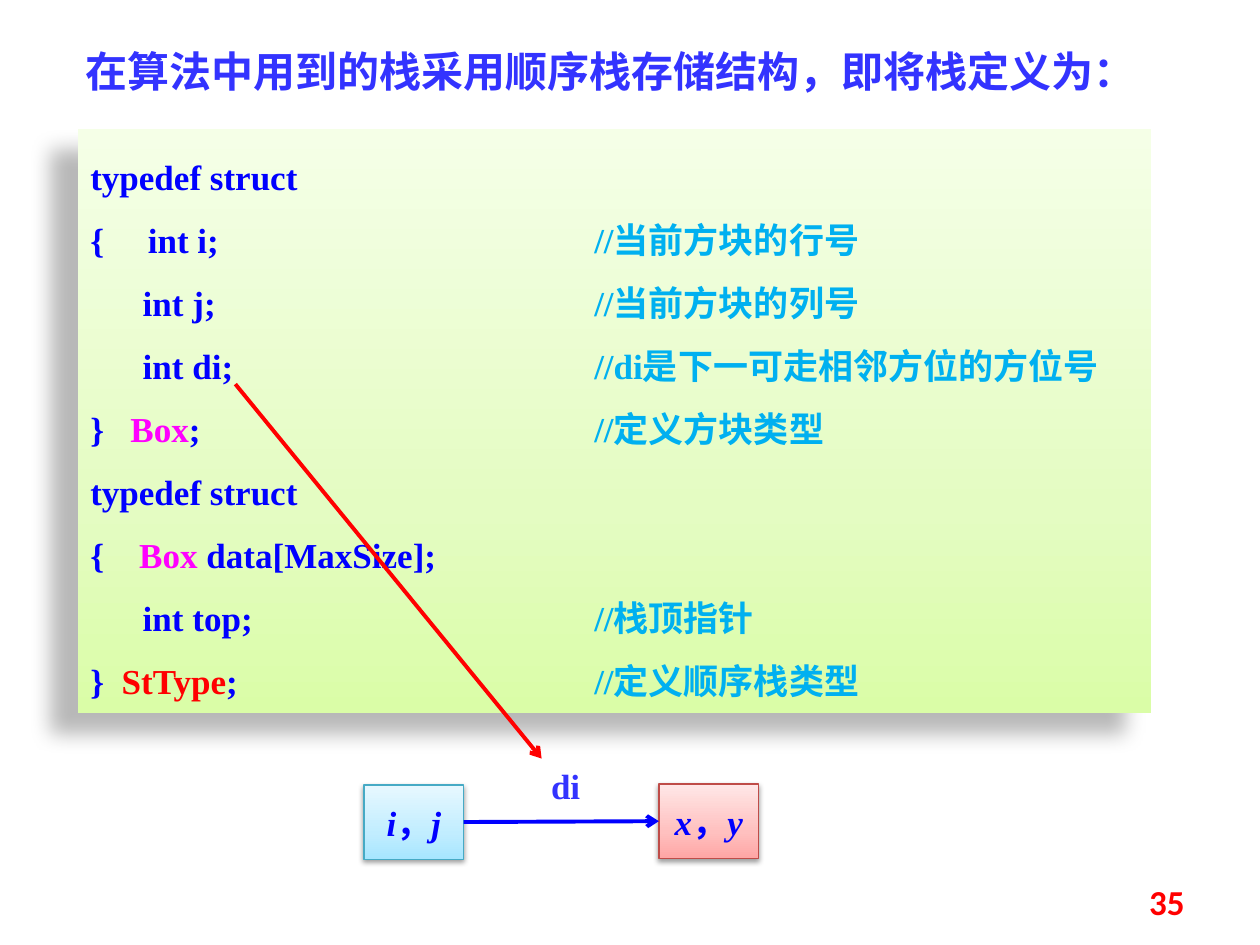
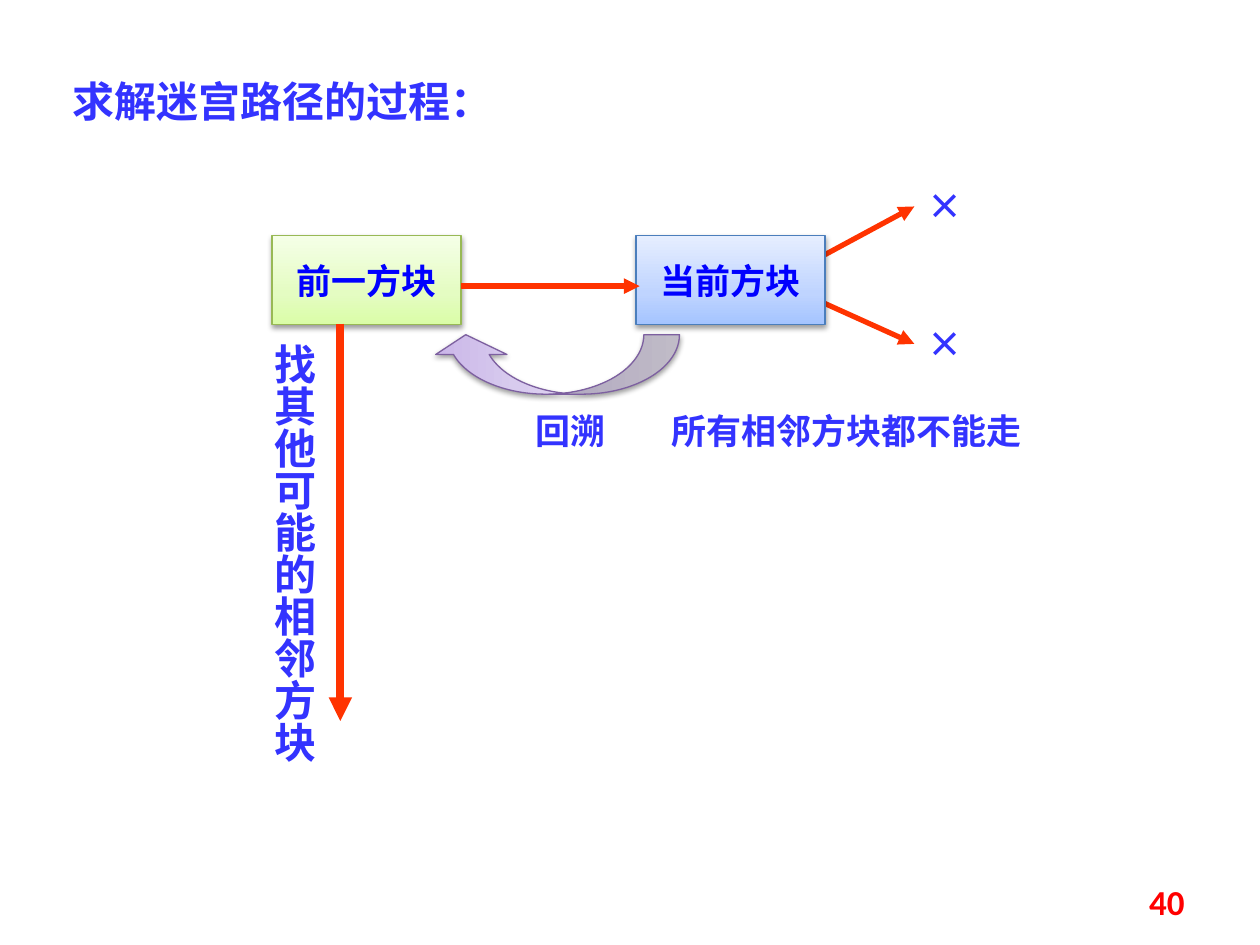
from lxml import etree
from pptx import Presentation
from pptx.dml.color import RGBColor
from pptx.enum.shapes import MSO_CONNECTOR, MSO_SHAPE
from pptx.enum.text import MSO_ANCHOR, MSO_AUTO_SIZE, PP_ALIGN
from pptx.oxml.ns import qn
from pptx.util import Pt

STRAIGHT = MSO_CONNECTOR.STRAIGHT
RECTANGLE = MSO_SHAPE.RECTANGLE
CURVED_ARROW = MSO_SHAPE.CURVED_LEFT_ARROW
TOP, MIDDLE = MSO_ANCHOR.TOP, MSO_ANCHOR.MIDDLE
LEFT, CENTER, RIGHT = PP_ALIGN.LEFT, PP_ALIGN.CENTER, PP_ALIGN.RIGHT
FIT_SHAPE, NO_FIT = MSO_AUTO_SIZE.SHAPE_TO_FIT_TEXT, MSO_AUTO_SIZE.NONE

SANS, SERIF, NUMBER_FONT = "Noto Sans CJK SC", "Times New Roman", "Calibri"
TITLE_BLUE, TEXT_BLUE, COMMENT = "3333FF", "0000FF", "00B0F0"
RED, ORANGE, MAGENTA = "FF0000", "FF3300", "FF00FF"

# Gradient stops from bottom to top, then the outline
GREEN = ("DAFDA7", "E4FCC2", "F5FFE7", "98B955")
CYAN = ("A7E6FF", "C1EDFF", "E7F8FF", "46AAC5")
PINK = ("FFA6A5", "FFC0BF", "FFE7E7", "BF4C48")
BLUE = ("A4C4FF", "BFD4FF", "E6EEFF", "4B7EBC")
PURPLE = ("C9B5E8", "D8CBEE", "F0EAF9", "7D60A0")
STOPS = (0, 35, 100)

# Opacity in percent, blur and distance in points, direction in degrees
SOFT_SHADOW = (38, 3.1, 1.6, 90)
DEEP_SHADOW = (28, 11.8, 19.7, 141)

CODE = [
    [("typedef struct", TEXT_BLUE)],
    [("{     int i;\t", TEXT_BLUE), ("//当前方块的行号", COMMENT)],
    [("      int j;\t", TEXT_BLUE), ("//当前方块的列号", COMMENT)],
    [("      int di;\t", TEXT_BLUE), ("//di是下一可走相邻方位的方位号", COMMENT)],
    [("}   ", TEXT_BLUE), ("Box", MAGENTA), (";\t", TEXT_BLUE), ("//定义方块类型", COMMENT)],
    [("typedef struct", TEXT_BLUE)],
    [("{    ", TEXT_BLUE), ("Box", MAGENTA), (" data[MaxSize];", TEXT_BLUE)],
    [("      int top;\t", TEXT_BLUE), ("//栈顶指针", COMMENT)],
    [("}  ", TEXT_BLUE), ("StType", RED), (";\t", TEXT_BLUE), ("//定义顺序栈类型", COMMENT)],
]


def rgb(value):
    return RGBColor.from_string(value)


def add_element(parent, tag, **attributes):
    return etree.SubElement(parent, qn(tag), {key: str(value) for key, value in attributes.items()})


def points(*lengths):
    return [Pt(length) for length in lengths]


def style_run(run, size, font, color, bold=True, italic=False):
    run.font.size, run.font.name = Pt(size), font
    run.font.bold, run.font.italic = bold, italic
    run.font.color.rgb = rgb(color)
    add_element(run.font._element, "a:ea", typeface=SANS)


def write_line(frame, text, size, font, color, align):
    frame.text = text
    para = frame.paragraphs[0]
    para.alignment = align
    style_run(para.runs[0], size, font, color)


def add_label(page, text, box, size=20, font=SANS, color=TITLE_BLUE, align=CENTER, anchor=TOP):
    label = page.shapes.add_textbox(*points(*box))
    frame = label.text_frame
    frame.word_wrap, frame.vertical_anchor = True, anchor
    write_line(frame, text, size, font, color, align)
    return label


def add_panel(page, kind, box, palette, shadow=SOFT_SHADOW, outlined=True):
    """Add a preset shape with a gradient and a cast shadow."""
    panel = page.shapes.add_shape(kind, *points(*box))
    panel.fill.gradient()
    panel.fill.gradient_angle = 90
    stops = panel._element.spPr.find(qn("a:gradFill")).find(qn("a:gsLst"))
    stops.clear()
    for position, color in zip(STOPS, palette):
        stop = add_element(stops, "a:gs", pos=position * 1000)
        add_element(stop, "a:srgbClr", val=color)
    if outlined:
        panel.line.color.rgb, panel.line.width = rgb(palette[3]), Pt(0.75)
    else:
        panel.line.fill.background()
    panel.shadow.inherit = False
    opacity, blur, distance, direction = shadow
    cast = add_element(panel._element.spPr.find(qn("a:effectLst")), "a:outerShdw",
                       blurRad=Pt(blur), dist=Pt(distance), dir=direction * 60000, rotWithShape=0)
    add_element(add_element(cast, "a:srgbClr", val="000000"), "a:alpha", val=opacity * 1000)
    return panel


def add_node(page, box, palette, text):
    node = add_panel(page, RECTANGLE, box, palette)
    frame = node.text_frame
    frame.word_wrap, frame.vertical_anchor = False, MIDDLE
    write_line(frame, text, 20, SANS, TEXT_BLUE, CENTER)
    return node


def add_arrow(page, start, end, color, width, head="triangle"):
    arrow = page.shapes.add_connector(STRAIGHT, *points(*start, *end))
    arrow.line.color.rgb, arrow.line.width = rgb(color), Pt(width)
    add_element(arrow.line._get_or_add_ln(), "a:tailEnd", type=head)
    add_element(arrow._element.spPr, "a:effectLst")
    return arrow


def add_page(deck, title_text, box, align, font, number):
    page = deck.slides.add_slide(deck.slide_layouts[5])
    title = page.shapes.title
    title.left, title.top, title.width, title.height = points(*box)
    frame = title.text_frame
    frame.word_wrap, frame.vertical_anchor, frame.auto_size = True, TOP, NO_FIT
    write_line(frame, title_text, 24, font, TITLE_BLUE, align)
    add_label(page, number, (516, 500.5, 168, 29), font=NUMBER_FONT, color=RED,
              align=RIGHT, anchor=MIDDLE)
    return page


def add_code(page, box):
    panel = add_panel(page, RECTANGLE, box, GREEN, DEEP_SHADOW, outlined=False)
    frame = panel.text_frame
    frame.word_wrap, frame.vertical_anchor = True, TOP
    for index, line in enumerate(CODE):
        para = frame.add_paragraph() if index else frame.paragraphs[0]
        para.alignment, para.line_spacing = LEFT, Pt(36)
        tabs = add_element(para._p.get_or_add_pPr(), "a:tabLst")
        add_element(tabs, "a:tab", pos=Pt(288), algn="l")
        for text, color in line:
            span = para.add_run()
            span.text = text
            style_run(span, 20, SERIF, color)


def add_coordinate_step(page, left, top):
    """Two coordinate cells joined by the direction arrow."""
    cells = []
    for offset, rise, palette, names in ((0, 0.5, CYAN, "i，j"), (168.5, 0, PINK, "x，y")):
        cell = add_node(page, (left + offset, top + rise, 57, 42.5), palette, names)
        para = cell.text_frame.paragraphs[0]
        para.text = ""
        for letter in names:
            span = para.add_run()
            span.text = letter
            style_run(span, 20, SERIF, TEXT_BLUE, italic=letter != "，")
        cells.append(cell)
    arrow = add_arrow(page, (left + 57, top + 21), (left + 168.5, top + 21), TEXT_BLUE, 2.25, "arrow")
    arrow.begin_connect(cells[0], 3)
    arrow.end_connect(cells[1], 1)
    add_label(page, "di", (left + 90, top - 14.5, 50.5, 31.5), font=SERIF)


def add_backtracking(page, left, top):
    """Previous and current squares, the blocked exits and the way back."""
    width, height, pitch = 108, 51, 208
    current = left + pitch
    exit_left = current + width
    for start, end in ((11, -16.5), (39, 62)):
        add_arrow(page, (exit_left, top + start), (exit_left + 51, top + end), ORANGE, 3)
        add_label(page, "×", (exit_left + 45.5, top + end - 16, 45.5, 31.5))
    add_node(page, (left, top, width, height), GREEN, "前一方块")
    add_node(page, (current, top, width, height), BLUE, "当前方块")
    add_arrow(page, (left + width, top + 29), (current + 2, top + 29), ORANGE, 3)

    way_back = add_panel(page, CURVED_ARROW, (left + 144.5, top + 2.5, 34, 142.5), PURPLE)
    for index, value in enumerate((0.599, 1.198, 0.333)):
        way_back.adjustments[index] = value
    way_back.rotation = 90
    add_label(page, "回溯", (left + 137, top + 96, 67.5, 31.5))
    add_label(page, "所有相邻方块都不能走", (left + 221, top + 96, 225.5, 31.5), font=SERIF, align=LEFT)


def add_retry_branch(page, left, top):
    add_arrow(page, (left + 41, top - 11.5), (left + 41, top + 215.5), ORANGE, 4.5)
    label = add_label(page, "找其他可能的相邻方块", (left, top, 29, 255.5), size=24)
    frame = label.text_frame
    frame.margin_left = frame.margin_right = frame.margin_top = frame.margin_bottom = 0
    frame.auto_size = FIT_SHAPE
    frame._txBody.bodyPr.set("vert", "eaVert")


def main():
    deck = Presentation()
    deck.slide_width, deck.slide_height = points(720, 540)

    page = add_page(deck, "在算法中用到的栈采用顺序栈存储结构，即将栈定义为：",
                    (34, 22.5, 630, 36), CENTER, SANS, "35")
    add_code(page, (44.5, 73.5, 613.5, 334))
    add_coordinate_step(page, 208, 448)
    add_arrow(page, (134.5, 219.5), (309.5, 433.5), RED, 2.25, "arrow")

    page = add_page(deck, "求解迷宫路径的过程：", (34, 39.5, 266.5, 36), LEFT, SERIF, "40")
    add_backtracking(page, 155.5, 134.5)
    add_retry_branch(page, 153.5, 196.5)

    deck.save("out.pptx")


if __name__ == "__main__":
    main()
